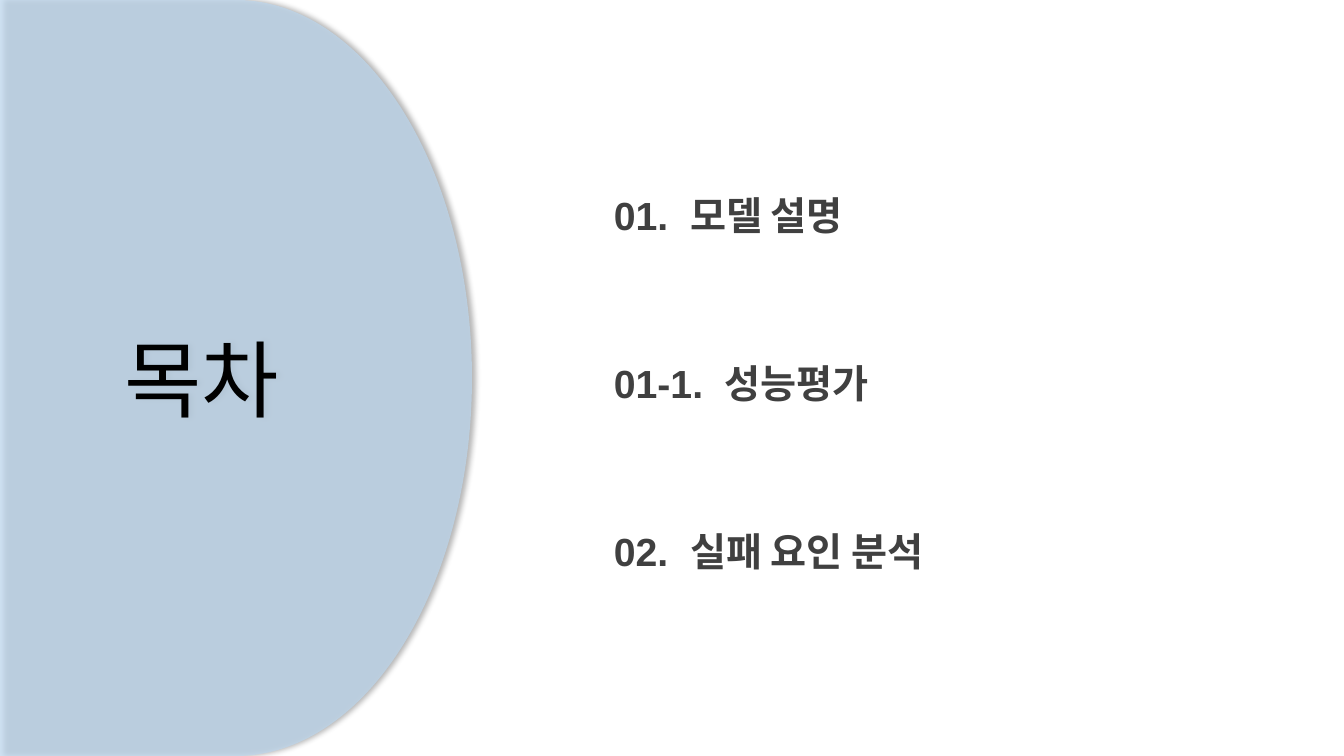
"""Build the table of contents slide."""
from lxml.etree import SubElement
from pptx import Presentation
from pptx.dml.color import RGBColor
from pptx.enum.shapes import MSO_SHAPE
from pptx.enum.text import MSO_ANCHOR, MSO_AUTO_SIZE, PP_ALIGN
from pptx.oxml.ns import qn
from pptx.util import Pt

PX = 914400 / 100.8
PALE_BLUE = RGBColor(0xBD, 0xD7, 0xEE)
BLACK = RGBColor(0, 0, 0)
DARK_GRAY = RGBColor(0x40, 0x40, 0x40)
KOREAN_FONT = "Noto Sans CJK KR"


def px(*lengths):
    return [round(n * PX) for n in lengths]


def add_run(p, text, **font):
    r = p.add_run()
    r.text = text
    color = font.pop("color")
    for name, value in font.items():
        setattr(r.font, name, value)
    r.font.color.rgb = color
    rPr = r._r.get_or_add_rPr()
    SubElement(rPr, qn("a:ea"), typeface=KOREAN_FONT)
    return rPr


prs = Presentation()
prs.slide_width, prs.slide_height = px(1344, 756)
s = prs.slides.add_slide(prs.slide_layouts[6])

panel = s.shapes.add_shape(MSO_SHAPE.FLOWCHART_DELAY, *px(0, 0, 472, 756))
panel.fill.solid()
panel.fill.fore_color.rgb = PALE_BLUE
panel.line.fill.background()
panel.shadow.inherit = False
spPr = panel._element.spPr
SubElement(spPr.find(".//" + qn("a:srgbClr")), qn("a:alpha"), val="72000")
shadow = SubElement(spPr.find(qn("a:effectLst")), qn("a:outerShdw"),
                    blurRad=str(Pt(4)), dist=str(Pt(3)), dir="0",
                    algn="l", rotWithShape="0")
shadow_color = SubElement(shadow, qn("a:srgbClr"), val=str(BLACK))
SubElement(shadow_color, qn("a:alpha"), val="40000")

tf = panel.text_frame
tf.vertical_anchor = MSO_ANCHOR.MIDDLE
p = tf.paragraphs[0]
p.alignment = PP_ALIGN.CENTER
add_run(p, "목차", name=KOREAN_FONT, size=Pt(60), color=BLACK)

entry_font = dict(name="Arial", size=Pt(28), bold=True, color=DARK_GRAY)
entries = [("01.", "모델 설명"), ("01-1.", "성능평가"), ("02.", "실패 요인 분석")]
for i, (number, title) in enumerate(entries):
    tf = s.shapes.add_textbox(*px(604, 191 + 168 * i, 584, 47)).text_frame
    frame = dict(word_wrap=True, auto_size=MSO_AUTO_SIZE.SHAPE_TO_FIT_TEXT,
                 margin_top=0, margin_bottom=0)
    for name, value in frame.items():
        setattr(tf, name, value)
    p = tf.paragraphs[0]
    add_run(p, number, **entry_font)
    add_run(p, " ", **entry_font).set("spc", "780")
    add_run(p, title, **entry_font)

prs.save("out.pptx")
